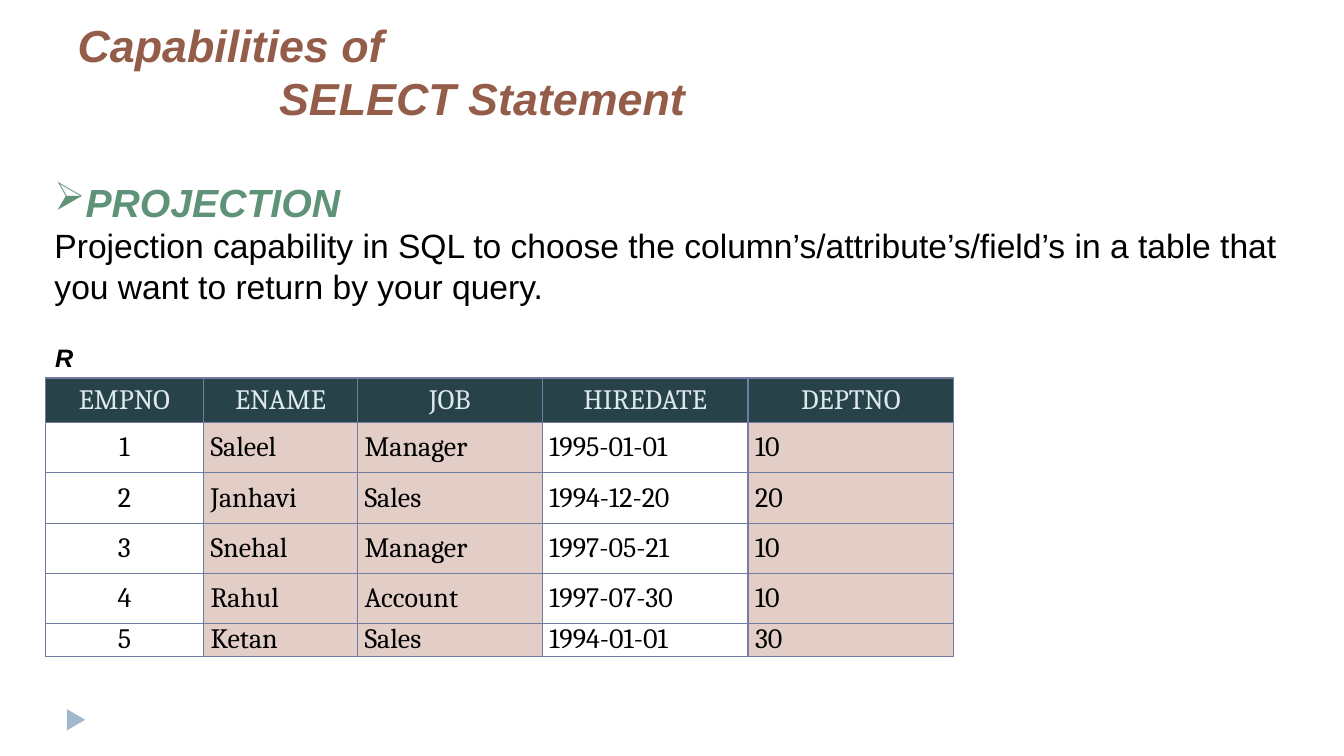
from lxml.etree import SubElement
from pptx import Presentation
from pptx.dml.color import RGBColor
from pptx.enum.shapes import MSO_SHAPE as Shape
from pptx.enum.text import MSO_ANCHOR as Anchor, MSO_AUTO_SIZE as AutoSize, PP_ALIGN as Align
from pptx.oxml.ns import qn
from pptx.util import Pt

# Content
TITLE = "Capabilities of \v\tSELECT Statement"
HEADING = "PROJECTION"
DEFINITION = ("Projection capability in SQL to choose the column’s/attribute’s/field’s "
              "in a table that you want to return by your query.")
RELATION_NAME = "R"
EMPLOYEES = [
    ("EMPNO", "ENAME", "JOB", "HIREDATE", "DEPTNO"),
    ("1", "Saleel", "Manager", "1995-01-01", "10"),
    ("2", "Janhavi", "Sales", "1994-12-20", "20"),
    ("3", "Snehal", "Manager", "1997-05-21", "10"),
    ("4", "Rahul", "Account", "1997-07-30", "10"),
    ("5", "Ketan", "Sales", "1994-01-01", "30"),
]
PROJECTED_COLUMNS = {"ENAME", "JOB", "DEPTNO"}

# Sizes in points
COLUMN_WIDTHS = [113, 110, 132, 147, 147]
ROW_HEIGHTS = [31.7, 36, 36, 36, 35.5, 23.8]
TITLE_TAB = 144

# Colours
BROWN = RGBColor(0x94, 0x5D, 0x4A)
GREEN = RGBColor(0x5F, 0x93, 0x78)
BLACK = RGBColor(0, 0, 0)
HEADER_FILL = RGBColor(0x28, 0x42, 0x49)
HEADER_TEXT = RGBColor(0xDD, 0xE9, 0xEC)
PROJECTED_FILL = RGBColor(0xE3, 0xCE, 0xC7)
BORDER = RGBColor(0x72, 0x7C, 0xA3)
MARKER = RGBColor(0x9F, 0xB8, 0xCD)


def place(shape, left, top, width, height):
    shape.left, shape.top = Pt(left), Pt(top)
    shape.width, shape.height = Pt(width), Pt(height)


def format_runs(paragraph, size, color, name="Arial", emphasis=True):
    for run in paragraph.runs:
        font = run.font
        font.name, font.size = name, Pt(size)
        font.bold = font.italic = emphasis
        font.color.rgb = color


def add_borders(cell):
    properties = cell._tc.get_or_add_tcPr()
    for position, side in enumerate(("a:lnL", "a:lnR", "a:lnT", "a:lnB")):
        line = properties.makeelement(qn(side), {"w": str(Pt(1))})
        fill = SubElement(line, qn("a:solidFill"))
        SubElement(fill, qn("a:srgbClr"), val=str(BORDER))
        properties.insert(position, line)


presentation = Presentation()
presentation.slide_width, presentation.slide_height = Pt(960), Pt(540)
slide = presentation.slides.add_slide(presentation.slide_layouts[1])
shapes = slide.shapes

# Corner marker
marker = shapes.add_shape(Shape.ISOSCELES_TRIANGLE, Pt(46.8), Pt(507.6), Pt(15.1), Pt(13))
marker.rotation = 90
marker.shadow.inherit = False
marker.fill.solid()
marker.fill.fore_color.rgb = MARKER
marker.line.fill.background()

# Title, with its second line set in by a tab stop
title = shapes.title
place(title, 48.2, 20.9, 864, 72)
title_frame = title.text_frame
title_frame.text = TITLE
title_frame.auto_size = AutoSize.NONE
title_frame.vertical_anchor = Anchor.BOTTOM
title_paragraph = title_frame.paragraphs[0]
title_paragraph.alignment = Align.LEFT
tabs = SubElement(title_paragraph._p.get_or_add_pPr(), qn("a:tabLst"))
SubElement(tabs, qn("a:tab"), pos=str(Pt(TITLE_TAB)), algn="l")
format_runs(title_paragraph, 32, BROWN)

# Heading and definition
body = slide.placeholders[1]
place(body, 31.7, 90, 901.4, 133.2)
body_frame = body.text_frame
body_frame.text = f"{HEADING}\n{DEFINITION}"
body_frame.auto_size = AutoSize.NONE
heading, definition = body_frame.paragraphs
for paragraph in (heading, definition):
    properties = paragraph._p.get_or_add_pPr()
    properties.set("marL", "0")
    properties.set("indent", "0")
    paragraph.space_before = Pt(0)
heading.line_spacing = 2.0
bullet = heading._p.get_or_add_pPr()
SubElement(SubElement(bullet, qn("a:buClr")), qn("a:srgbClr"), val=str(GREEN))
SubElement(bullet, qn("a:buFont"), typeface="Wingdings", charset="2")
SubElement(bullet, qn("a:buChar"), char="Ø")
SubElement(definition._p.get_or_add_pPr(), qn("a:buNone"))
format_runs(heading, 28, GREEN)
format_runs(definition, 24, BLACK, emphasis=False)

# Employee table
table_shape = shapes.add_table(len(EMPLOYEES), len(COLUMN_WIDTHS), Pt(32.4), Pt(270),
                               Pt(sum(COLUMN_WIDTHS)), Pt(sum(ROW_HEIGHTS)))
table = table_shape.table
for column, width in zip(table.columns, COLUMN_WIDTHS):
    column.width = Pt(width)
for row, height in zip(table.rows, ROW_HEIGHTS):
    row.height = Pt(height)
for row_index, values in enumerate(EMPLOYEES):
    for column_index, value in enumerate(values):
        cell = table.cell(row_index, column_index)
        is_header = row_index == 0
        cell.text = value
        cell.vertical_anchor = Anchor.MIDDLE
        cell.margin_left = cell.margin_right = Pt(5)
        cell.margin_top = cell.margin_bottom = Pt(0)
        if is_header or EMPLOYEES[0][column_index] in PROJECTED_COLUMNS:
            cell.fill.solid()
            cell.fill.fore_color.rgb = HEADER_FILL if is_header else PROJECTED_FILL
        else:
            cell.fill.background()
        add_borders(cell)
        paragraph = cell.text_frame.paragraphs[0]
        paragraph.alignment = Align.CENTER if is_header or column_index == 0 else Align.LEFT
        format_runs(paragraph, 20, HEADER_TEXT if is_header else BLACK, "Cambria", False)

# Relation name above the table
label = shapes.add_textbox(Pt(32.4), Pt(241.2), Pt(31), Pt(28.8))
label.text_frame.word_wrap = True
label.text_frame.text = RELATION_NAME
format_runs(label.text_frame.paragraphs[0], 18, BLACK)

presentation.save("out.pptx")
